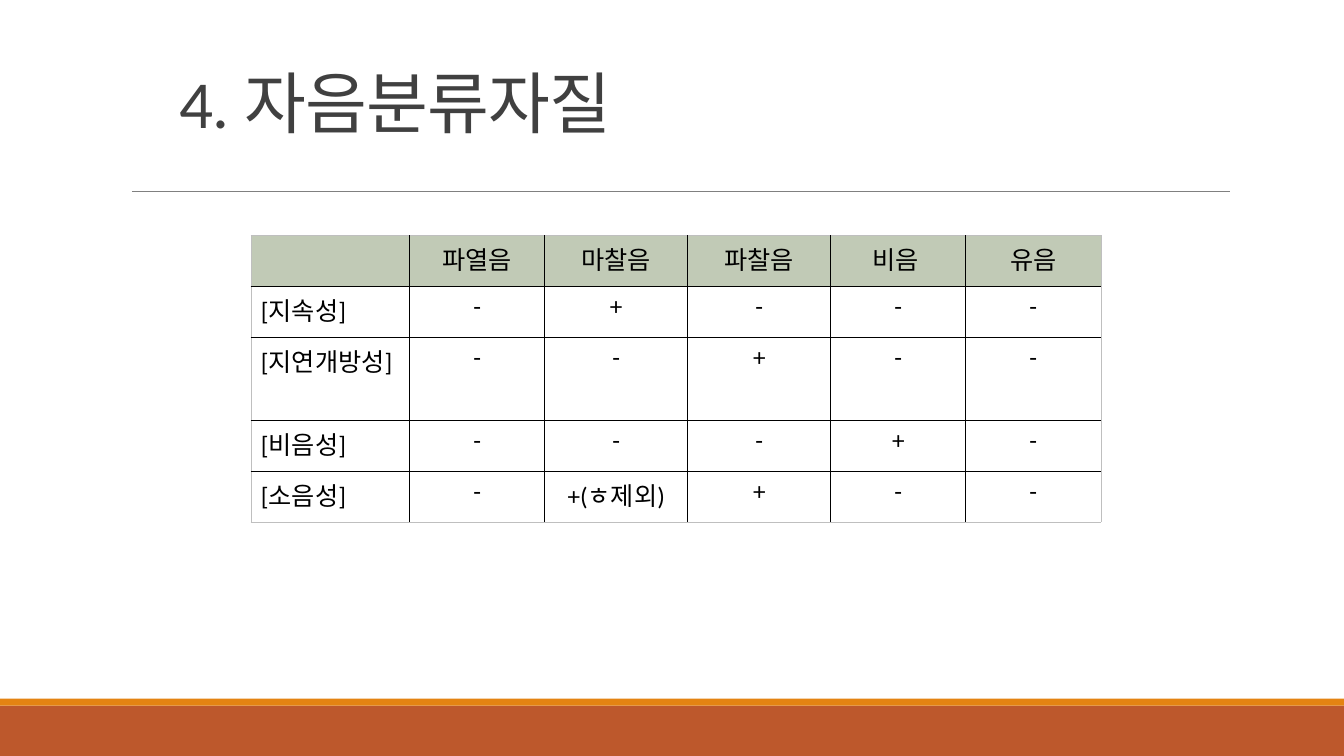
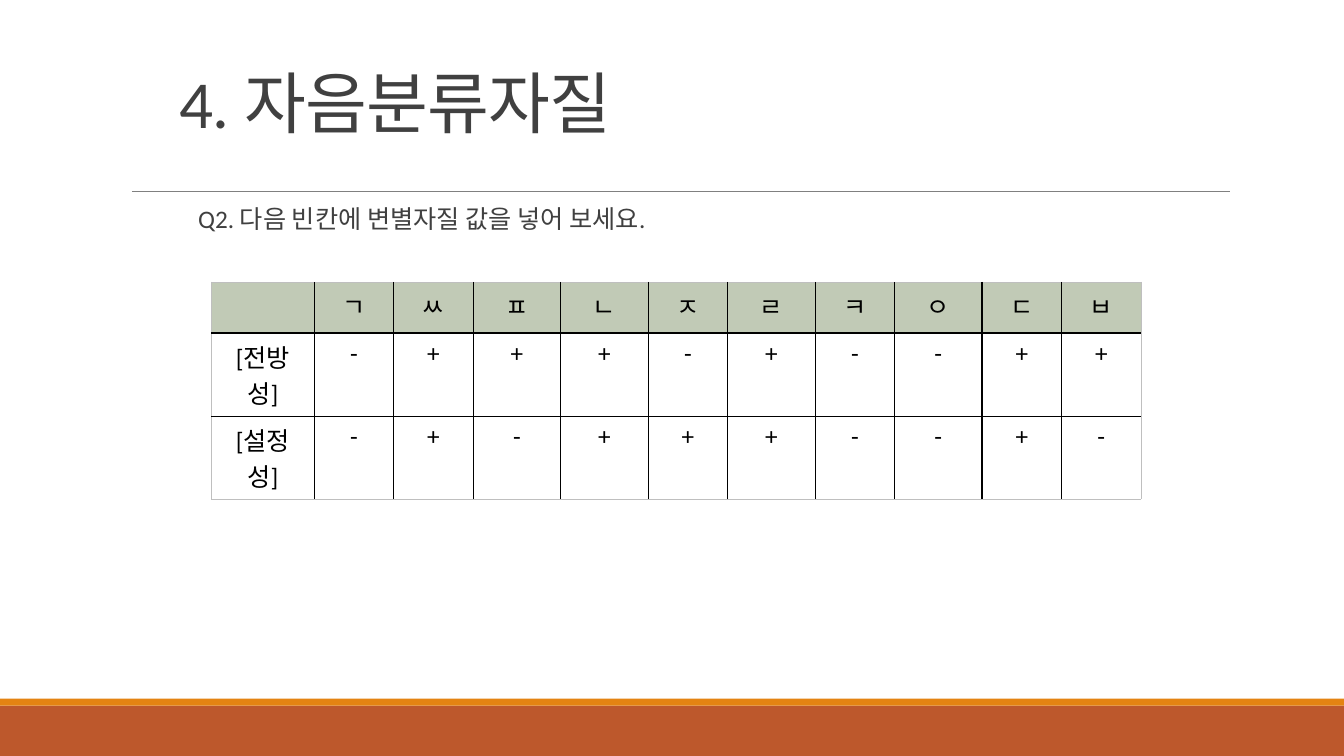
from dataclasses import dataclass

from lxml.etree import SubElement
from pptx import Presentation
from pptx.dml.color import RGBColor
from pptx.enum.shapes import MSO_CONNECTOR, MSO_SHAPE
from pptx.enum.text import MSO_ANCHOR, PP_ALIGN
from pptx.oxml.ns import qn
from pptx.slide import Slide
from pptx.util import Pt

FONT = "Calibri"
BLACK, DARK, RULE = "000000", "404040", "808080"
RUST, ORANGE, SAGE, EDGE = "BD582C", "E48312", "C1CAB6", "BFBFBF"
WIDTH, HEIGHT = 960, 540
TITLE = "4. 자음분류자질"
ONE_LINE, TWO_LINES = 36.4, 59.4
NARROW, WIDE = 56.8, 62.5


@dataclass(frozen=True)
class Band:
    top: float
    height: float
    color: str


@dataclass(frozen=True)
class Grid:
    left: float
    top: float
    widths: list[float]
    heights: list[float]
    rows: list[list[str]]
    label_align: PP_ALIGN


BANDS = [Band(504, 36, RUST), Band(499, 5, ORANGE)]

MANNER = Grid(
    179.2, 168,
    [113.5, 96.4, 102.2, 102.2, 96.4, 96.4],
    [ONE_LINE, ONE_LINE, TWO_LINES, ONE_LINE, ONE_LINE],
    [
        ["", "파열음", "마찰음", "파찰음", "비음 ", "유음"],
        ["[지속성]", "-", "+", "-", "-", "-"],
        ["[지연개방성]", "-", "-", "+", "-", "-"],
        ["[비음성]", "-", "-", "-", "+", "-"],
        ["[소음성]", "-", "+(ㅎ제외)", "+", "-", "-"],
    ],
    PP_ALIGN.LEFT,
)

PLACE = Grid(
    151, 201.5,
    [73.5, NARROW, NARROW, WIDE, WIDE, NARROW, WIDE, NARROW, WIDE, NARROW, NARROW],
    [ONE_LINE, TWO_LINES, TWO_LINES],
    [
        ["", *"ㄱㅆㅍㄴㅈㄹㅋㅇㄷㅂ"],
        ["[전방성]", *"-+++-+--++"],
        ["[설정성]", *"-+-+++--+-"],
    ],
    PP_ALIGN.CENTER,
)


def rgb(color: str) -> RGBColor:
    return RGBColor.from_string(color)


def write(tf, text: str, *, size: float = 18, color: str = BLACK,
          align: PP_ALIGN = PP_ALIGN.LEFT, line: float = 1.0,
          spacing: int = 0) -> None:
    p = tf.paragraphs[0]
    p.alignment = align
    p.line_spacing = line
    p.font.size = Pt(size)
    if not text:
        return
    r = p.add_run()
    r.text = text
    r.font.name = FONT
    r.font.size = Pt(size)
    r.font.color.rgb = rgb(color)
    if spacing:
        r.font._element.set("spc", str(spacing))


def add_text(s: Slide, text: str, left: float, top: float, width: float,
             height: float, *, anchor: MSO_ANCHOR = MSO_ANCHOR.TOP,
             inset: float = 7.2, **style) -> None:
    tf = s.shapes.add_textbox(Pt(left), Pt(top), Pt(width), Pt(height)).text_frame
    tf.word_wrap = True
    tf.vertical_anchor = anchor
    tf.margin_left = tf.margin_right = Pt(inset)
    write(tf, text, **style)


def add_band(s: Slide, band: Band) -> None:
    sp = s.shapes.add_shape(MSO_SHAPE.RECTANGLE, 0, Pt(band.top), Pt(WIDTH), Pt(band.height))
    sp.shadow.inherit = False
    sp.fill.solid()
    sp.fill.fore_color.rgb = rgb(band.color)
    sp.line.fill.background()


def add_rule(s: Slide, left: float, right: float, y: float) -> None:
    line = s.shapes.add_connector(MSO_CONNECTOR.STRAIGHT, Pt(left), Pt(y), Pt(right), Pt(y))
    line.line.color.rgb = rgb(RULE)
    line.line.width = Pt(0.5)
    SubElement(line._element.spPr, qn("a:effectLst"))


def add_border(cell, side: str, outer: bool) -> None:
    width = Pt(0.25 if outer else 1)
    ln = SubElement(cell._tc.get_or_add_tcPr(), qn(f"a:ln{side}"), w=str(int(width)))
    fill = SubElement(ln, qn("a:solidFill"))
    SubElement(fill, qn("a:srgbClr"), val=EDGE if outer else BLACK)


def add_grid(s: Slide, grid: Grid) -> None:
    n_rows, n_cols = len(grid.heights), len(grid.widths)
    table = s.shapes.add_table(
        n_rows, n_cols, Pt(grid.left), Pt(grid.top),
        Pt(sum(grid.widths)), Pt(sum(grid.heights))).table
    table.first_row = table.horz_banding = False
    for column, width in zip(table.columns, grid.widths):
        column.width = Pt(width)
    for i, (height, row) in enumerate(zip(grid.heights, grid.rows)):
        table.rows[i].height = Pt(height)
        for j, text in enumerate(row):
            cell = table.cell(i, j)
            outer = {"L": j == 0, "R": j == n_cols - 1, "T": i == 0, "B": i == n_rows - 1}
            for side, is_outer in outer.items():
                add_border(cell, side, is_outer)
            if i == 0:
                cell.fill.solid()
                cell.fill.fore_color.rgb = rgb(SAGE)
            else:
                cell.fill.background()
            write(cell.text_frame, text,
                  align=PP_ALIGN.CENTER if j else grid.label_align)


def add_slide(prs, grid: Grid) -> Slide:
    s = prs.slides.add_slide(prs.slide_layouts[6])
    for band in BANDS:
        add_band(s, band)
    add_rule(s, 94.3, 878.6, 136.8)
    add_text(s, TITLE, 121, 27, 648, 78, anchor=MSO_ANCHOR.BOTTOM,
             size=48, color=DARK, line=0.85, spacing=-50)
    add_grid(s, grid)
    return s


def main() -> None:
    prs = Presentation()
    prs.slide_width, prs.slide_height = Pt(WIDTH), Pt(HEIGHT)
    add_slide(prs, MANNER)
    s = add_slide(prs, PLACE)
    add_text(s, "Q2. 다음 빈칸에 변별자질 값을 넣어 보세요.", 141.6, 144, 698, 32,
             inset=0, color=DARK, line=0.9)
    prs.save("out.pptx")


if __name__ == "__main__":
    main()
